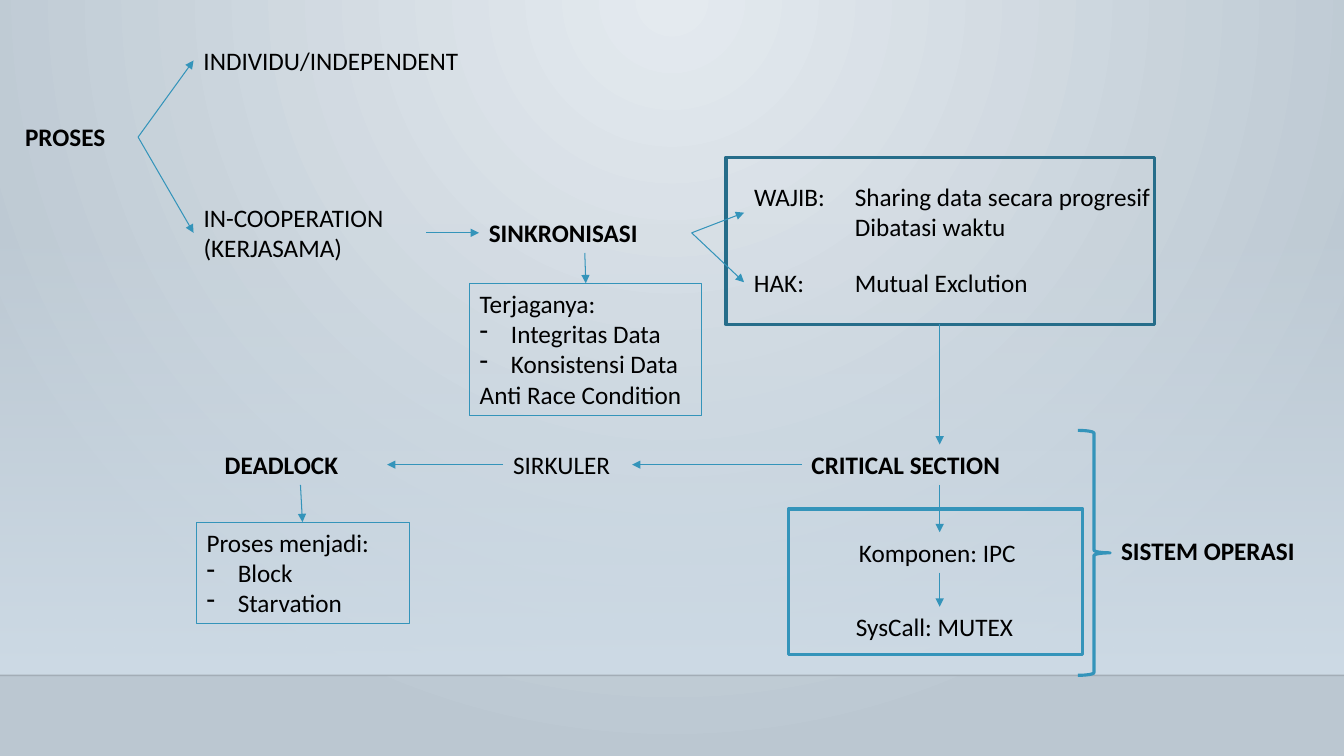
from lxml import etree
from pptx import Presentation
from pptx.dml.color import RGBColor
from pptx.enum.shapes import MSO_CONNECTOR, MSO_SHAPE
from pptx.oxml.ns import qn
from pptx.util import Inches, Pt

STRAIGHT = MSO_CONNECTOR.STRAIGHT
RECTANGLE, RIGHT_BRACE = MSO_SHAPE.RECTANGLE, MSO_SHAPE.RIGHT_BRACE

BLACK = RGBColor(0x00, 0x00, 0x00)
BLUE = RGBColor(0x34, 0x94, 0xBA)
DARK_BLUE = RGBColor(0x26, 0x6D, 0x8A)
CENTRE_GREY = RGBColor(0xE4, 0xEA, 0xEF)
EDGE_GREY = RGBColor(0xBB, 0xC7, 0xD1)
HAZE = RGBColor(0xCE, 0xDB, 0xE6)

SLIDE_WIDTH, SLIDE_HEIGHT = 13.33, 7.5
HORIZON = 6.7
ROW, TWO_ROWS = 0.4, 0.71
SECTION_X = 9.32
SYNC_Y, CYCLE_Y = 2.31, 4.61
HANG = 0.31
TAB_STOPS = (0.5, 1)

# (left, top, width, height), bold, lines
LABELS = [
    ((0.15, 1.15, 1.22, ROW), True, ["PROSES"]),
    ((1.92, 0.4, 3.06, ROW), False, ["INDIVIDU/INDEPENDENT"]),
    ((1.92, 1.96, 2.31, TWO_ROWS), False, ["IN-COOPERATION", "(KERJASAMA)"]),
    ((4.75, 2.11, 2.11, ROW), True, ["SINKRONISASI"]),
    ((7.38, 1.75, 4.19, TWO_ROWS), False,
     ["WAJIB: \tSharing data secara progresif", "\t\tDibatasi waktu"]),
    ((7.38, 2.6, 2.93, ROW), False, ["HAK: \tMutual Exclution"]),
    ((7.95, 4.41, 2.74, ROW), True, ["CRITICAL SECTION"]),
    ((8.42, 5.28, 1.79, ROW), False, ["Komponen: IPC"]),
    ((8.39, 6.02, 1.86, ROW), False, ["SysCall: MUTEX"]),
    ((4.99, 4.41, 1.28, ROW), False, ["SIRKULER"]),
    ((2.13, 4.41, 1.71, ROW), True, ["DEADLOCK"]),
    ((11.02, 5.26, 2.31, ROW), True, ["SISTEM OPERASI"]),
]
# Lines that start with "- " become bullets
NOTES = [
    ((4.66, 2.81, 2.3, 1.31),
     ["Terjaganya:", "- Integritas Data", "- Konsistensi Data", "Anti Race Condition"]),
    ((1.95, 5.18, 2.11, 1.01), ["Proses menjadi:", "- Block", "- Starvation"]),
]
OUTLINES = [
    (RECTANGLE, (7.2, 1.56, 4.25, 1.66), DARK_BLUE),
    (RECTANGLE, (7.82, 5.05, 2.92, 1.44), BLUE),
    (RIGHT_BRACE, (10.69, 4.27, 0.32, 2.43), BLUE),
]
# start point, then the points its arrows lead to
ARROWS = [
    ((1.37, 1.36), [(1.92, 0.6), (1.92, SYNC_Y)]),
    ((4.23, SYNC_Y), [(4.75, SYNC_Y)]),
    ((6.86, SYNC_Y), [(7.38, 2.11), (7.38, 2.8)]),
    ((5.8, 2.51), [(5.81, 2.81)]),
    ((SECTION_X, 3.21), [(SECTION_X, 4.41)]),
    ((SECTION_X, 4.81), [(SECTION_X, 5.28)]),
    ((SECTION_X, 5.68), [(SECTION_X, 6.02)]),
    ((7.95, CYCLE_Y), [(6.27, CYCLE_Y)]),
    ((4.99, CYCLE_Y), [(3.84, CYCLE_Y)]),
    ((2.98, 4.81), [(3, 5.18)]),
]


def add_child(parent, tag, **attributes):
    child = etree.SubElement(parent, qn(tag))
    for name, value in attributes.items():
        child.set(name, str(value))
    return child


def set_gradient(fill, colours):
    fill.gradient()
    for stop, colour, position in zip(fill.gradient_stops, colours, (0, 1)):
        stop.color.rgb = colour
        stop.position = position


def paint_background(slide):
    fill = slide.background.fill
    set_gradient(fill, (CENTRE_GREY, EDGE_GREY))
    gradient = slide.background._cSld.find(".//" + qn("a:gradFill"))
    gradient.remove(gradient.find(qn("a:lin")))
    circle = add_child(gradient, "a:path", path="circle")
    add_child(circle, "a:fillToRect", l=43000, t=0, r=43000, b=100000)

    haze = slide.shapes.add_shape(
        RECTANGLE, *map(Inches, (0, 2.21, SLIDE_WIDTH, HORIZON - 2.21)))
    haze.shadow.inherit = False
    haze.line.fill.background()
    set_gradient(haze.fill, (HAZE, HAZE))
    haze.fill.gradient_angle = 270
    first_colour = haze._element.spPr.find(".//" + qn("a:srgbClr"))
    add_child(first_colour, "a:alpha", val=0)

    horizon = add_line(slide, (0, HORIZON), (SLIDE_WIDTH, HORIZON), BLACK, 1)
    line_colour = horizon._element.spPr.find(".//" + qn("a:srgbClr"))
    add_child(line_colour, "a:alpha", val=20000)


def add_line(slide, start, end, colour, width):
    line = slide.shapes.add_connector(STRAIGHT, *map(Inches, (*start, *end)))
    line.line.color.rgb = colour
    line.line.width = Pt(width)
    add_child(line._element.spPr, "a:effectLst")
    return line


def add_text(slide, place, lines, bold=False):
    box = slide.shapes.add_textbox(*map(Inches, place))
    frame = box.text_frame
    frame.word_wrap = True
    for index, line in enumerate(lines):
        para = frame.paragraphs[0] if index == 0 else frame.add_paragraph()
        properties = para._p.get_or_add_pPr()
        if line.startswith("- "):
            properties.set("marL", str(Inches(HANG)))
            properties.set("indent", str(-Inches(HANG)))
            add_child(properties, "a:buChar", char="-")
        if "\t" in line:
            tabs = add_child(properties, "a:tabLst")
            for stop in TAB_STOPS:
                add_child(tabs, "a:tab", pos=Inches(stop), algn="l")
        span = para.add_run()
        span.text = line.removeprefix("- ")
        looks = {"name": "Calibri", "size": Pt(18), "bold": bold}
        for name, value in looks.items():
            setattr(span.font, name, value)
        span.font.color.rgb = BLACK
    return box


def main():
    deck = Presentation()
    deck.slide_width, deck.slide_height = Inches(SLIDE_WIDTH), Inches(SLIDE_HEIGHT)
    slide = deck.slides.add_slide(deck.slide_layouts.get_by_name("Blank"))
    paint_background(slide)

    for place, bold, lines in LABELS:
        add_text(slide, place, lines, bold)
    for place, lines in NOTES:
        note = add_text(slide, place, lines)
        note.line.color.rgb = BLUE
        note.line.width = Pt(0.75)
    for kind, place, colour in OUTLINES:
        outline = slide.shapes.add_shape(kind, *map(Inches, place))
        outline.shadow.inherit = False
        outline.fill.background()
        outline.line.color.rgb = colour
        outline.line.width = Pt(2.25)
    for start, ends in ARROWS:
        for end in ends:
            arrow = add_line(slide, start, end, BLUE, 0.75)
            add_child(arrow.line._get_or_add_ln(), "a:tailEnd", type="triangle")

    deck.save("out.pptx")


if __name__ == "__main__":
    main()
